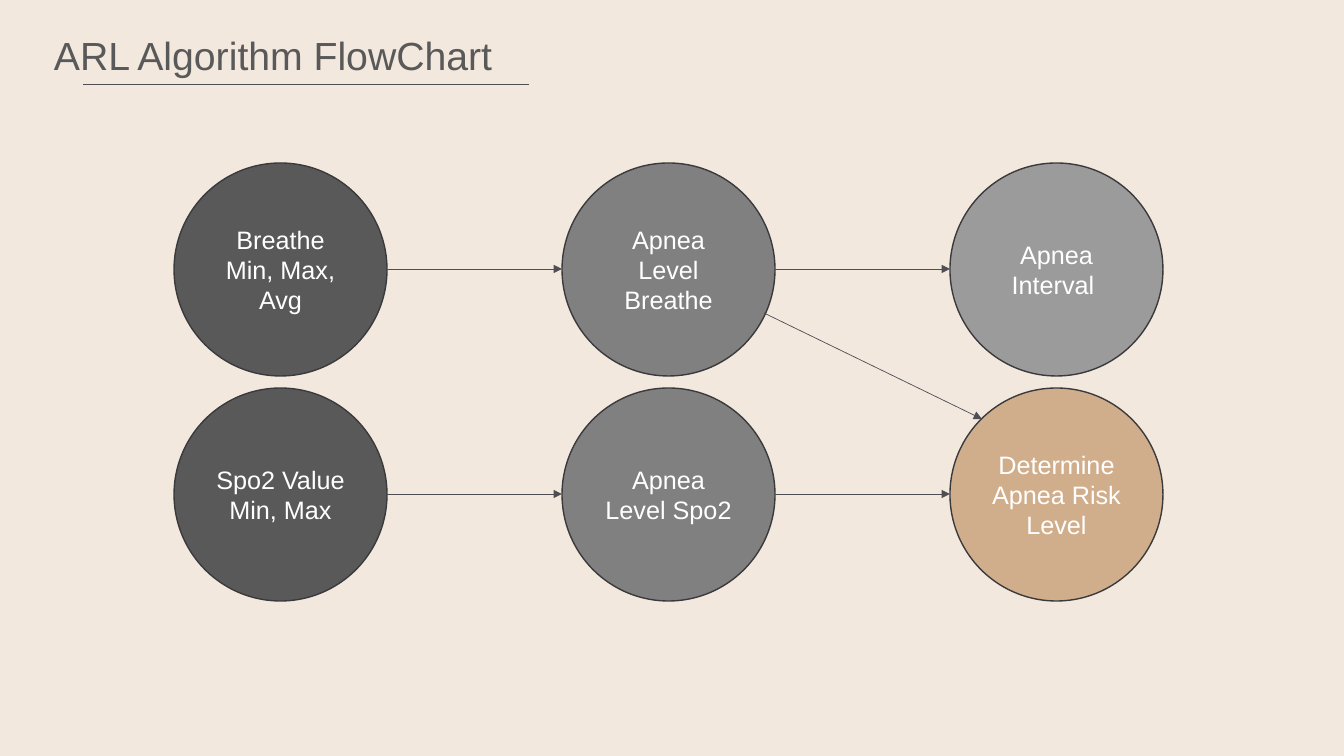
from lxml import etree
from pptx import Presentation
from pptx.dml.color import RGBColor
from pptx.enum.shapes import MSO_CONNECTOR, MSO_SHAPE
from pptx.enum.text import MSO_ANCHOR, MSO_AUTO_SIZE, PP_ALIGN
from pptx.oxml.ns import qn
from pptx.util import Pt

STRAIGHT = MSO_CONNECTOR.STRAIGHT
OVAL = MSO_SHAPE.OVAL
MIDDLE = MSO_ANCHOR.MIDDLE
GROW = MSO_AUTO_SIZE.SHAPE_TO_FIT_TEXT
CENTER = PP_ALIGN.CENTER

CREAM = RGBColor(0xF2, 0xE8, 0xDE)
INK = RGBColor(0x4F, 0x4E, 0x53)
OUTLINE = RGBColor(0x3A, 0x3A, 0x3D)
DARK = RGBColor(0x59, 0x59, 0x59)
MID = RGBColor(0x80, 0x80, 0x80)
LIGHT = RGBColor(0x9B, 0x9B, 0x9B)
TAN = RGBColor(0xD1, 0xAE, 0x8B)
WHITE = RGBColor(0xFF, 0xFF, 0xFF)

FONT = "Arial"
EMU_PER_PX = 914400 / 100.8

# Circle grid, in px
GRID_LEFT, GRID_TOP = 174, 163
COLUMN_STEP, ROW_STEP = 388, 225
DIAMETER = 213

STEPS = [
    [("Breathe Min, Max, Avg", DARK), ("Apnea Level Breathe", MID), ("Apnea Interval ", LIGHT)],
    [("Spo2 Value Min, Max", DARK), ("Apnea Level Spo2", MID), ("Determine Apnea Risk Level", TAN)],
]


def px(length):
    return round(length * EMU_PER_PX)


def write_text(shape, text, size, color):
    para = shape.text_frame.paragraphs[0]
    para.text = text
    para.alignment = CENTER
    para.font.name = FONT
    para.font.size = Pt(size)
    para.font.color.rgb = color


def add_title(page, text, left, top, width, height):
    box = page.shapes.add_textbox(px(left), px(top), px(width), px(height))
    box.text_frame.word_wrap = False
    box.text_frame.auto_size = GROW
    write_text(box, text, 28, DARK)


def add_line(page, start, end, arrow=False):
    line = page.shapes.add_connector(STRAIGHT, *map(px, start + end))
    line.line.color.rgb = INK
    line.line.width = Pt(0.5)
    if arrow:
        outline = line.line._get_or_add_ln()
        etree.SubElement(outline, qn("a:tailEnd"), type="triangle")
    etree.SubElement(line._element.spPr, qn("a:effectLst"))


def add_step(page, text, left, top, color):
    circle = page.shapes.add_shape(OVAL, px(left), px(top), px(DIAMETER), px(DIAMETER))
    circle.shadow.inherit = False
    circle.fill.solid()
    circle.fill.fore_color.rgb = color
    circle.line.color.rgb = OUTLINE
    circle.line.width = Pt(1)
    circle.text_frame.word_wrap = True
    circle.text_frame.vertical_anchor = MIDDLE
    write_text(circle, text, 18, WHITE)


def main():
    deck = Presentation()
    deck.slide_width, deck.slide_height = px(1344), px(756)
    page = deck.slides.add_slide(deck.slide_layouts[6])
    page.background.fill.solid()
    page.background.fill.fore_color.rgb = CREAM

    # Title with its rule
    add_line(page, (83, 84), (529, 84))
    add_title(page, "ARL Algorithm FlowChart", 41, 26, 464, 57)

    # Rows of steps, each joined to the next
    for row, steps in enumerate(STEPS):
        top = GRID_TOP + row * ROW_STEP
        middle = top + DIAMETER // 2
        for column, (text, color) in enumerate(steps):
            left = GRID_LEFT + column * COLUMN_STEP
            add_step(page, text, left, top, color)
            if column:
                previous_right = left - COLUMN_STEP + DIAMETER
                add_line(page, (previous_right, middle), (left, middle), arrow=True)

    # Breathe level also feeds the risk level
    add_line(page, (764, 313), (982, 419), arrow=True)

    deck.save("out.pptx")


if __name__ == "__main__":
    main()
